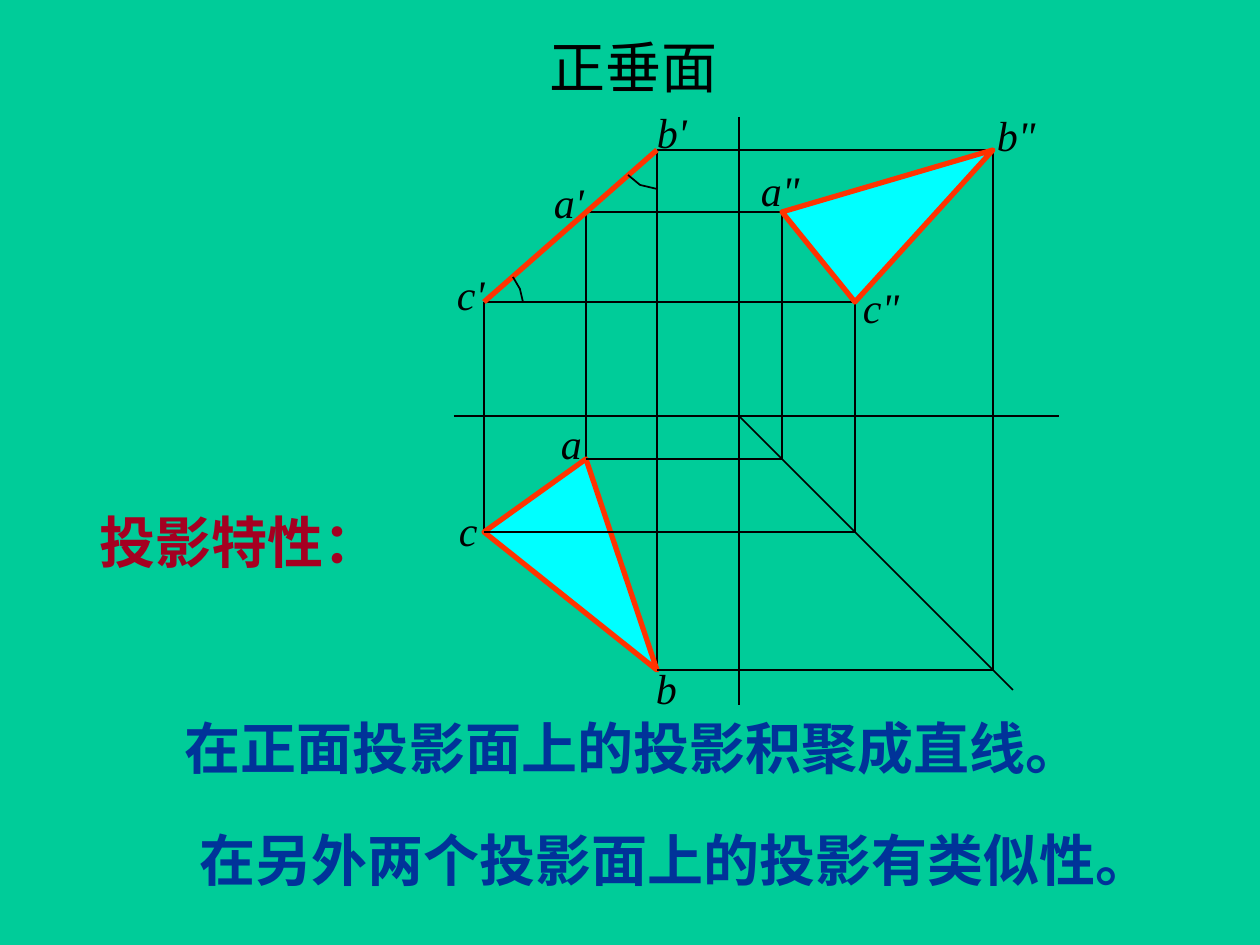
from lxml import etree
from pptx import Presentation
from pptx.dml.color import RGBColor
from pptx.enum.shapes import MSO_CONNECTOR as CONN
from pptx.enum.text import MSO_ANCHOR as ANCHOR, PP_ALIGN as ALIGN
from pptx.oxml.ns import qn
from pptx.util import Emu, Pt

COLORS = {
    "background": "00CC99", "ink": "000000", "plane": "00FFFF",
    "edge": "FF3300", "heading": "A50021", "statement": "003399",
}
FONT = "Times New Roman"
INSET = 13
LABEL_SIZE = (113, 63)


def px(n):
    return Emu(round(n * 914400 / 126))


def color(name):
    return RGBColor.from_string(COLORS[name])


def add_text(slide, box, text, size, name="ink", bold=False, italic=False,
             align=ALIGN.LEFT, anchor=ANCHOR.MIDDLE, wrap=True,
             left=INSET, right=INSET):
    sp = slide.shapes.add_textbox(*map(px, box))
    tf = sp.text_frame
    tf.word_wrap = wrap
    tf.vertical_anchor = anchor
    tf.margin_left, tf.margin_right = px(left), px(right)
    p = tf.paragraphs[0]
    p.alignment = align
    r = p.add_run()
    r.text = text
    r.font.name, r.font.size = FONT, Pt(size)
    r.font.bold, r.font.italic = bold, italic
    r.font.color.rgb = color(name)


def add_line(slide, start, end, name="ink", width=1):
    line = slide.shapes.add_connector(CONN.STRAIGHT, *map(px, start + end))
    line.line.color.rgb = color(name)
    line.line.width = Pt(width)
    etree.SubElement(line._element.spPr, qn("a:effectLst"))


def add_outline(slide, points, name, width, fill=None):
    """Draw an open polyline, or a closed polygon when a fill is given."""
    corners = [tuple(map(px, point)) for point in points]
    builder = slide.shapes.build_freeform(*corners[0])
    builder.add_line_segments(corners[1:], close=fill is not None)
    sp = builder.convert_to_shape()
    sp.shadow.inherit = False
    if fill:
        sp.fill.solid()
        sp.fill.fore_color.rgb = color(fill)
    else:
        sp.fill.background()
    sp.line.color.rgb = color(name)
    sp.line.width = Pt(width)


def add_projection(slide, box):
    """Three-view projection of triangle abc around the axis origin."""
    ox, oy = box[0] + 295, box[1] + 316

    # Distance of each vertex from the side, front and top planes
    vertices = {"a": (153, 43, 204), "b": (82, 254, 266), "c": (255, 116, 114)}
    front = {k: (ox - x, oy - z) for k, (x, y, z) in vertices.items()}
    top = {k: (ox - x, oy + y) for k, (x, y, z) in vertices.items()}
    side = {k: (ox + y, oy - z) for k, (x, y, z) in vertices.items()}
    fold = {k: (ox + y, oy + y) for k, (x, y, z) in vertices.items()}

    # Projectors from the front view
    for k in vertices:
        add_line(slide, front[k], top[k])
        add_line(slide, front[k], side[k])

    # Top view, and the front view seen as one edge
    add_outline(slide, top.values(), "edge", 3, "plane")
    add_line(slide, front["c"], front["b"], "edge", 3)

    # Projectors from the top view to the side view
    for k in vertices:
        add_line(slide, top[k], fold[k])
        add_line(slide, fold[k], side[k])

    # Axes and fold line
    for start, end in (((-285, 0), (320, 0)), ((0, -299), (0, 289)),
                       ((0, 0), (274, 274))):
        add_line(slide, (ox + start[0], oy + start[1]),
                 (ox + end[0], oy + end[1]))

    # Side view
    add_outline(slide, side.values(), "edge", 3, "plane")

    # Angle marks
    for k, arc in (("c", ((39, 0), (36, -13), (29, -25))),
                   ("b", ((-29, 25), (-17, 35), (0, 39)))):
        x, y = front[k]
        add_outline(slide, [(x + dx, y + dy) for dx, dy in arc], "ink", 1)

    # Vertex labels, offset from their points
    views = (
        (front, "'", {"a": (-45, -42), "b": (-13, -50), "c": (-40, -40)}),
        (top, "", {"a": (-38, -48), "b": (-14, -14), "c": (-38, -34)}),
        (side, '"', {"a": (-34, -54), "b": (-9, -47), "c": (-5, -27)}),
    )
    for points, mark, offsets in views:
        for k, (dx, dy) in offsets.items():
            x, y = points[k]
            add_text(slide, (x + dx, y + dy, *LABEL_SIZE), k + mark, 24,
                     italic=True, anchor=ANCHOR.TOP)


def add_properties(slide, box):
    """Heading and the two statements below it."""
    x, y = box[:2]
    add_text(slide, (x, y, 305, 81), "投影特性：", 32, "heading", bold=True,
             align=ALIGN.CENTER, wrap=False)
    add_text(slide, (x + 13, y + 206, 1081, 81),
             "在正面投影面上的投影积聚成直线。", 32, "statement", bold=True,
             left=113)
    add_text(slide, (x + 97, y + 318, 1028, 81),
             "在另外两个投影面上的投影有类似性。", 32, "statement", bold=True,
             align=ALIGN.CENTER, left=25)


def main():
    prs = Presentation()
    prs.slide_width, prs.slide_height = px(1260), px(945)
    slide = prs.slides.add_slide(prs.slide_layouts[6])
    slide.background.fill.solid()
    slide.background.fill.fore_color.rgb = color("background")

    add_text(slide, (302, 24, 675, 84), "正垂面", 32, align=ALIGN.CENTER,
             right=25)
    add_projection(slide, (444, 100, 653, 619))
    add_properties(slide, (59, 501, 1125, 399))
    prs.save("out.pptx")


if __name__ == "__main__":
    main()
